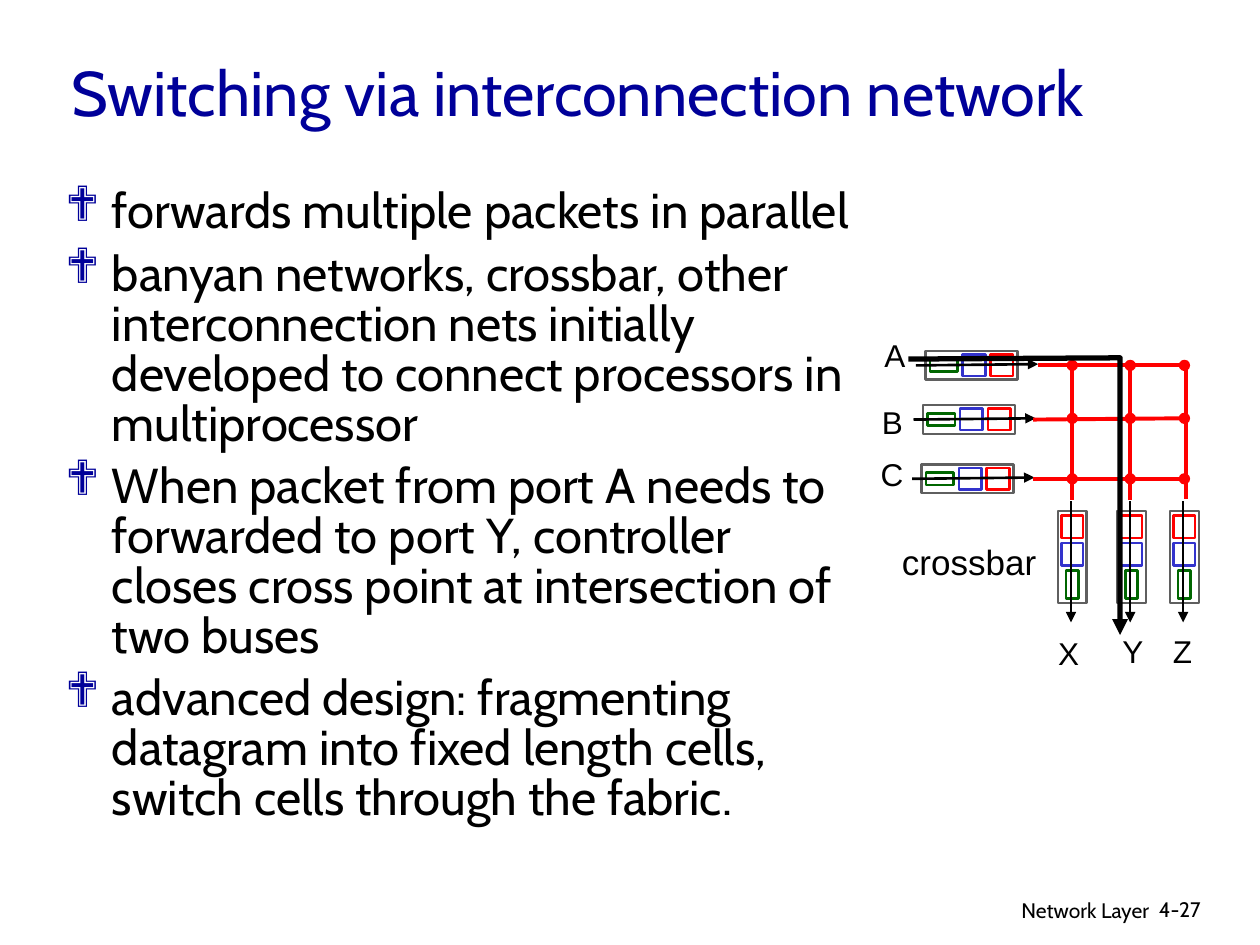
from dataclasses import dataclass
from itertools import product

from lxml import etree
from pptx import Presentation
from pptx import util as u
from pptx.dml.color import RGBColor
from pptx.enum import shapes, text
from pptx.oxml.ns import qn


@dataclass(frozen=True)
class Theme:
    """Colours, fonts and sizes of the slide."""
    navy: str = "000099"
    black: str = "000000"
    white: str = "FFFFFF"
    grey: str = "5F5F5F"
    green: str = "006600"
    blue: str = "3333CC"
    red: str = "FF0000"
    font: str = "Cabin"
    label_font: str = "Arial"
    bullet_font: str = "Wingdings"
    title: int = 36
    body: int = 28
    caption: int = 20
    label: int = 18
    footer: int = 12
    thin: float = 1.5
    bus: float = 2.25
    route: float = 3


THEME = Theme()
BULLETS = (
    "forwards multiple packets in parallel",
    "banyan networks, crossbar, other interconnection nets initially "
    "developed to connect processors in multiprocessor",
    "When packet from port A needs to forwarded to port Y, controller "
    "closes cross point at intersection of two buses",
    "advanced design: fragmenting datagram into fixed length cells, "
    "switch cells through the fabric.",
)
INPUT_CENTRES = ((7.71, 2.9), (7.69, 3.33), (7.68, 3.8))
OUTPUT_CENTRES = ((9.4, 4.42), (8.98, 4.42), (8.51, 4.42))
QUEUE_PARTS = (
    (0, 0.73, 0.23, THEME.grey),
    (-0.22, 0.22, 0.1, THEME.green),
    (0.02, 0.18, 0.17, THEME.blue),
    (0.24, 0.18, 0.17, THEME.red),
)
BUSES = (
    ((8.24, 2.9), (9.4, 2.9)),
    ((8.2, 3.33), (9.41, 3.32)),
    ((8.2, 3.8), (9.4, 3.8)),
    ((8.51, 3.97), (8.51, 2.89)),
    ((8.97, 3.97), (8.97, 2.89)),
    ((9.41, 3.96), (9.41, 2.88)),
)
CROSS_X = (8.51, 8.97, 9.4)
CROSS_Y = (2.9, 3.32, 3.8)
DOT = 0.09
ROUTE = ((7.21, 2.85), (8.89, 2.84), (8.89, 5.04))
PORT_LABELS = (
    ("A", 6.92, 2.62), ("B", 6.9, 3.15), ("C", 6.89, 3.56),
    ("X", 8.3, 4.98), ("Y", 8.81, 4.97), ("Z", 9.21, 4.97),
)


def inches(*values):
    """Convert several numbers to lengths."""
    return [u.Inches(value) for value in values]


def add_run(paragraph, words, size, color=THEME.black, font=THEME.font):
    """Add one formatted run."""
    run = paragraph.add_run()
    run.text = words
    run.font.size = u.Pt(size)
    run.font.name = font
    run.font.color.rgb = RGBColor.from_string(color)


def add_text(slide, box, words, size, font=THEME.font,
             align=text.PP_ALIGN.LEFT, wrap=True):
    """Add a one-paragraph text box that wraps or else grows to fit."""
    frame = slide.shapes.add_textbox(*inches(*box)).text_frame
    frame.word_wrap = wrap
    if not wrap:
        frame.auto_size = text.MSO_AUTO_SIZE.SHAPE_TO_FIT_TEXT
    paragraph = frame.paragraphs[0]
    paragraph.alignment = align
    add_run(paragraph, words, size, font=font)


def fill_title(slide, words):
    """Place and format the title placeholder."""
    title = slide.shapes.title
    title.left, title.top, title.width, title.height = inches(0.47, 0.26, 8.5, 0.93)
    frame = title.text_frame
    frame.auto_size = text.MSO_AUTO_SIZE.NONE
    frame.vertical_anchor = text.MSO_ANCHOR.MIDDLE
    paragraph = frame.paragraphs[0]
    paragraph.alignment = text.PP_ALIGN.LEFT
    add_run(paragraph, words, THEME.title, THEME.navy)


def set_bullet(paragraph):
    """Give a paragraph a coloured diamond and a hanging indent."""
    properties = paragraph._p.get_or_add_pPr()
    properties.set("marL", str(u.Inches(0.37)))
    properties.set("indent", str(-u.Inches(0.37)))
    color = etree.SubElement(properties, qn("a:buClr"))
    etree.SubElement(color, qn("a:srgbClr"), val=THEME.navy)
    etree.SubElement(properties, qn("a:buFont"), typeface=THEME.bullet_font)
    etree.SubElement(properties, qn("a:buChar"), char="❖")


def add_bullets(slide, items):
    """Add the bulleted body text."""
    frame = slide.shapes.add_textbox(*inches(0.42, 1.45, 6.49, 4.82)).text_frame
    frame.word_wrap = True
    for index, item in enumerate(items):
        paragraph = frame.add_paragraph() if index else frame.paragraphs[0]
        set_bullet(paragraph)
        paragraph.line_spacing = 0.85
        paragraph.space_before = u.Pt(7 if index else 0)
        add_run(paragraph, item, THEME.body)


def style_line(line, color, width, arrow=False):
    """Set a line's colour and width, with an optional arrowhead."""
    line.color.rgb = RGBColor.from_string(color)
    line.width = u.Pt(width)
    if arrow:
        etree.SubElement(line._get_or_add_ln(), qn("a:tailEnd"), type="triangle")


def add_line(slide, start, end, color, width, arrow=False):
    """Add a straight line without a shadow."""
    connector = slide.shapes.add_connector(
        shapes.MSO_CONNECTOR.STRAIGHT, *inches(*start, *end))
    style_line(connector.line, color, width, arrow)
    etree.SubElement(connector._element.spPr, qn("a:effectLst"))


def add_centred(slide, kind, centre, width, height, fill):
    """Add a filled preset shape around a centre point."""
    x, y = centre
    shape = slide.shapes.add_shape(
        kind, *inches(x - width / 2, y - height / 2, width, height))
    shape.shadow.inherit = False
    shape.fill.solid()
    shape.fill.fore_color.rgb = RGBColor.from_string(fill)
    return shape


def add_queue(slide, centre, vertical=False):
    """Add a packet buffer with three packets and its flow arrow."""
    x, y = centre
    for offset, width, height, color in QUEUE_PARTS:
        position = (x, y - offset) if vertical else (x + offset, y)
        part = add_centred(slide, shapes.MSO_SHAPE.RECTANGLE, position,
                           width, height, THEME.white)
        part.rotation = 90 if vertical else 0
        style_line(part.line, color, THEME.thin)
    if vertical:
        start, end = (x - 0.01, y - 0.44), (x - 0.01, y + 0.52)
    else:
        start, end = (x - 0.44, y), (x + 0.53, y - 0.01)
    add_line(slide, start, end, THEME.black, THEME.thin, arrow=True)


def add_route(slide, points):
    """Add the thick arrow from port A to port Y."""
    start, *rest = [tuple(inches(*point)) for point in points]
    builder = slide.shapes.build_freeform(*start)
    builder.add_line_segments(rest, close=False)
    route = builder.convert_to_shape()
    route.shadow.inherit = False
    route.fill.background()
    style_line(route.line, THEME.black, THEME.route, arrow=True)


def add_crossbar(slide):
    """Draw the crossbar with its queues, buses and cross points."""
    for centre in INPUT_CENTRES:
        add_queue(slide, centre)
    for centre in OUTPUT_CENTRES:
        add_queue(slide, centre, vertical=True)
    for start, end in BUSES:
        add_line(slide, start, end, THEME.red, THEME.bus)
    for centre in product(CROSS_X, CROSS_Y):
        dot = add_centred(slide, shapes.MSO_SHAPE.OVAL, centre, DOT, DOT, THEME.red)
        dot.line.fill.background()
    add_text(slide, (7.06, 4.24, 1.27, 0.44), "crossbar", THEME.caption,
             THEME.label_font, wrap=False)
    add_route(slide, ROUTE)
    for name, left, top in PORT_LABELS:
        add_text(slide, (left, top, 0.36, 0.4), name, THEME.label,
                 THEME.label_font, wrap=False)


def main():
    """Build and save the slide."""
    presentation = Presentation()
    presentation.slide_width, presentation.slide_height = inches(10, 7.5)
    slide = presentation.slides.add_slide(presentation.slide_layouts[5])
    add_text(slide, (6.05, 7.07, 3.17, 0.31), "Network Layer", THEME.footer,
             align=text.PP_ALIGN.RIGHT)
    add_text(slide, (9.1, 7.07, 0.74, 0.3), "4-27", THEME.footer)
    fill_title(slide, "Switching via interconnection network")
    add_bullets(slide, BULLETS)
    add_crossbar(slide)
    presentation.save("out.pptx")


if __name__ == "__main__":
    main()
